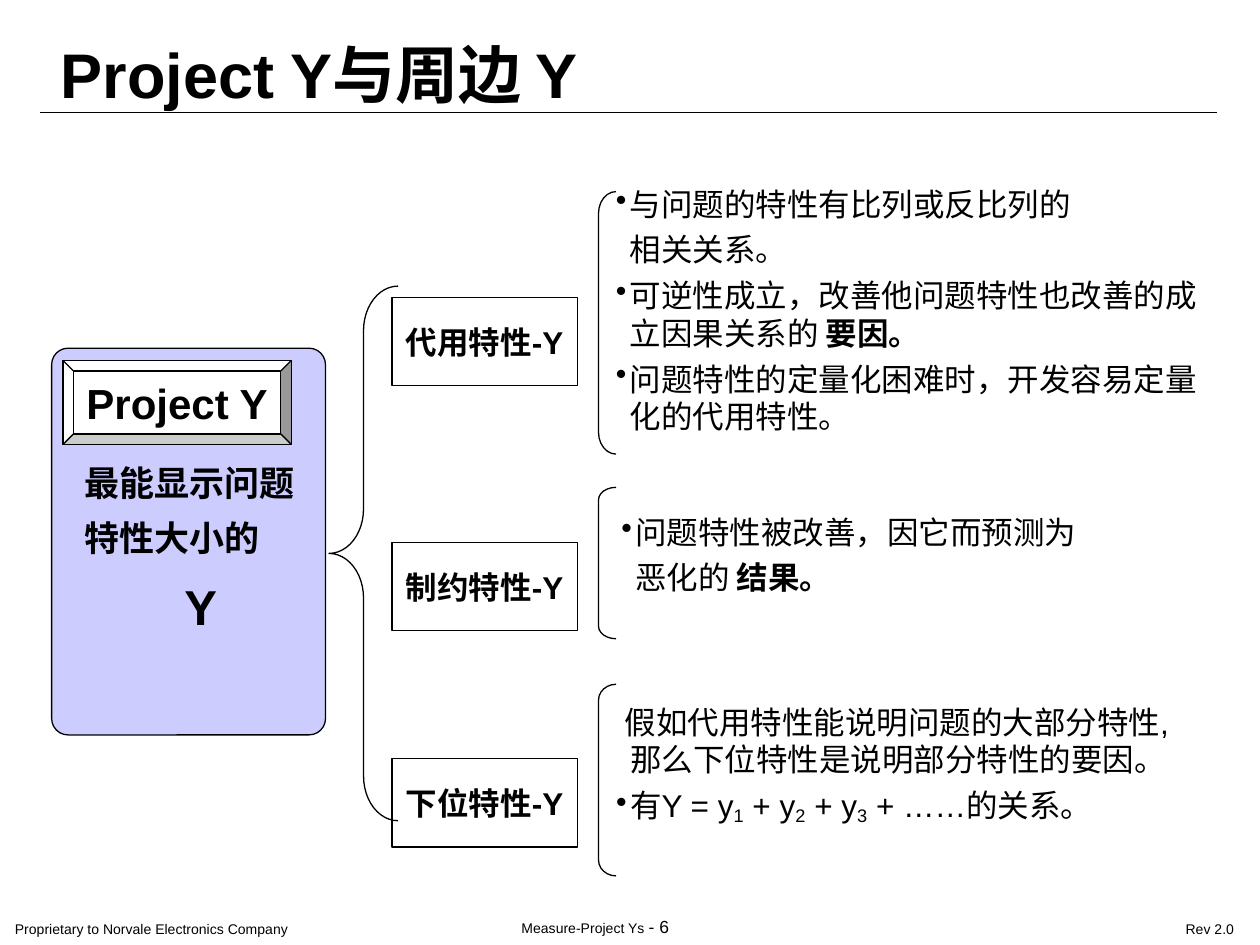
from dataclasses import dataclass

from lxml.etree import SubElement
from pptx import Presentation
from pptx.dml.color import RGBColor
from pptx.enum.shapes import MSO_CONNECTOR, MSO_SHAPE
from pptx.enum.text import MSO_ANCHOR, MSO_AUTO_SIZE, PP_ALIGN
from pptx.oxml.ns import qn
from pptx.util import Pt


@dataclass
class Theme:
    font: str = "Arial"
    ink: RGBColor = RGBColor(0, 0, 0)
    paper: RGBColor = RGBColor(255, 255, 255)
    panel: RGBColor = RGBColor(0xCC, 0xCC, 0xFF)
    line: float = 0.75
    title: int = 36
    symbol: int = 28
    badge: int = 24
    lead: int = 20
    body: int = 18
    page: int = 10
    foot: int = 8


theme = Theme()
deck = Presentation()
deck.slide_width, deck.slide_height = Pt(720), Pt(540)
slide = deck.slides.add_slide(deck.slide_layouts[5])
shapes = slide.shapes


def draw(kind, left, top, width, height, fill=None):
    shape = shapes.add_shape(kind, Pt(left), Pt(top), Pt(width), Pt(height))
    shape.shadow.inherit = False
    if fill is None:
        shape.fill.background()
    else:
        shape.fill.solid()
        shape.fill.fore_color.rgb = fill
    shape.line.color.rgb = theme.ink
    shape.line.width = Pt(theme.line)
    return shape


def style(para, size, bold=False, align=PP_ALIGN.LEFT):
    para.alignment = align
    para.font.name = theme.font
    para.font.size = Pt(size)
    para.font.bold = bold
    para.font.color.rgb = theme.ink


# Title and rule
title = shapes.title
title.left, title.top, title.width, title.height = Pt(27.5), Pt(16.5), Pt(392), Pt(45)
title.text = "Project Y与周边 Y"
frame = title.text_frame
frame.auto_size = MSO_AUTO_SIZE.NONE
frame.vertical_anchor = MSO_ANCHOR.TOP
style(frame.paragraphs[0], theme.title, True)

rule = shapes.add_connector(MSO_CONNECTOR.STRAIGHT, Pt(23), Pt(64.5), Pt(695.5), Pt(64.5))
rule.line.color.rgb = theme.ink
rule.line.width = Pt(theme.line)
SubElement(rule._element.spPr, qn("a:effectLst"))

# Left panel with its badge
panel = draw(MSO_SHAPE.ROUNDED_RECTANGLE, 29.5, 199, 156.5, 221, theme.panel)
panel.adjustments[0] = 0.06
frame = panel.text_frame
frame.word_wrap = True
frame.vertical_anchor = MSO_ANCHOR.TOP
frame.margin_left, frame.margin_top, frame.margin_right = Pt(16), Pt(55), Pt(2)
lead, symbol = frame.paragraphs[0], frame.add_paragraph()
lead.text, symbol.text = "最能显示问题特性大小的", "Y"
style(lead, theme.lead, True)
style(symbol, theme.symbol, True, PP_ALIGN.CENTER)
lead.line_spacing = symbol.line_spacing = 1.3

badge = draw(MSO_SHAPE.BEVEL, 36, 206, 130.5, 48, theme.paper)
badge.text_frame.word_wrap = False
badge.text_frame.text = "Project Y"
style(badge.text_frame.paragraphs[0], theme.badge, True, PP_ALIGN.CENTER)

# Kinds of Y
for top, label in ((170, "代用特性-Y"), (310, "制约特性-Y"), (433.5, "下位特性-Y")):
    box = draw(MSO_SHAPE.RECTANGLE, 224, top, 106, 50.5, theme.paper)
    box.text_frame.word_wrap = True
    box.text_frame.text = label
    style(box.text_frame.paragraphs[0], theme.body, True, PP_ALIGN.CENTER)

# Braces: the curve takes a twelfth of the height
for kind, left, top, width, height in (
    (MSO_SHAPE.LEFT_BRACE, 188, 163.5, 39.5, 305.5),
    (MSO_SHAPE.LEFT_BRACKET, 342, 109.5, 10, 150),
    (MSO_SHAPE.LEFT_BRACKET, 342, 278.5, 10, 86.5),
    (MSO_SHAPE.LEFT_BRACKET, 342, 391, 10, 109.5),
):
    brace = draw(kind, left, top, width, height)
    brace.adjustments[0] = height / 12 / width

# Explanations: (left, top, width, height, paragraphs)
# A paragraph is (first-line indent, bulleted, runs); a run is (text, mark)
notes = (
    (352, 102, 340, 150.5, (
        (-8, True, (("与问题的特性有比列或反比列的", ""),)),
        (0, False, (("相关关系。", ""),)),
        (-8, True, (("可逆性成立，改善他问题特性也改善的成立因果关系的 ", ""), ("要因。", "bold"))),
        (-8, True, (("问题特性的定量化困难时，开发容易定量化的代用特性。", ""),)),
    )),
    (355, 289.5, 334, 55.5, (
        (-8, True, (("问题特性被改善，因它而预测为", ""),)),
        (0, False, (("恶化的 ", ""), ("结果。", "bold"))),
    )),
    (352, 398, 334, 78, (
        (-3, False, (("假如代用特性能说明问题的大部分特性, 那么下位特性是说明部分特性的要因。", ""),)),
        (-8, True, (("有Y = y", ""), ("1", "sub"), (" + y", ""), ("2", "sub"),
                    (" + y", ""), ("3", "sub"), (" + ……的关系。", ""))),
    )),
)
for left, top, width, height, paras in notes:
    note = shapes.add_textbox(Pt(left), Pt(top), Pt(width), Pt(height))
    frame = note.text_frame
    frame.word_wrap = True
    frame.margin_left = frame.margin_right = 0
    for i, (indent, dot, runs) in enumerate(paras):
        para = frame.add_paragraph() if i else frame.paragraphs[0]
        para.space_after = Pt(4.5)
        props = para._p.get_or_add_pPr()
        props.set("marL", str(Pt(8)))
        props.set("indent", str(Pt(indent)))
        if dot:
            SubElement(props, qn("a:buChar")).set("char", "•")
        style(para, theme.body)
        for text, mark in runs:
            run = para.add_run()
            run.text = text
            if mark == "bold":
                run.font.bold = True
            elif mark == "sub":
                run._r.get_or_add_rPr().set("baseline", "-15000")

# Footer
for left, top, width, text, page in (
    (0, 521.5, 231, "Proprietary to Norvale Electronics Company", ""),
    (289.5, 519, 150, "Measure-Project Ys ", "- 6"),
    (669, 521.5, 51, "Rev 2.0", ""),
):
    foot = shapes.add_textbox(Pt(left), Pt(top), Pt(width), Pt(18))
    frame = foot.text_frame
    frame.word_wrap = True
    frame.margin_left, frame.margin_right = Pt(8.5), Pt(0)
    frame.margin_top = frame.margin_bottom = Pt(4.5)
    para = frame.paragraphs[0]
    para.text = text
    style(para, theme.foot)
    if page:
        run = para.add_run()
        run.text = page
        run.font.size = Pt(theme.page)

deck.save("out.pptx")
